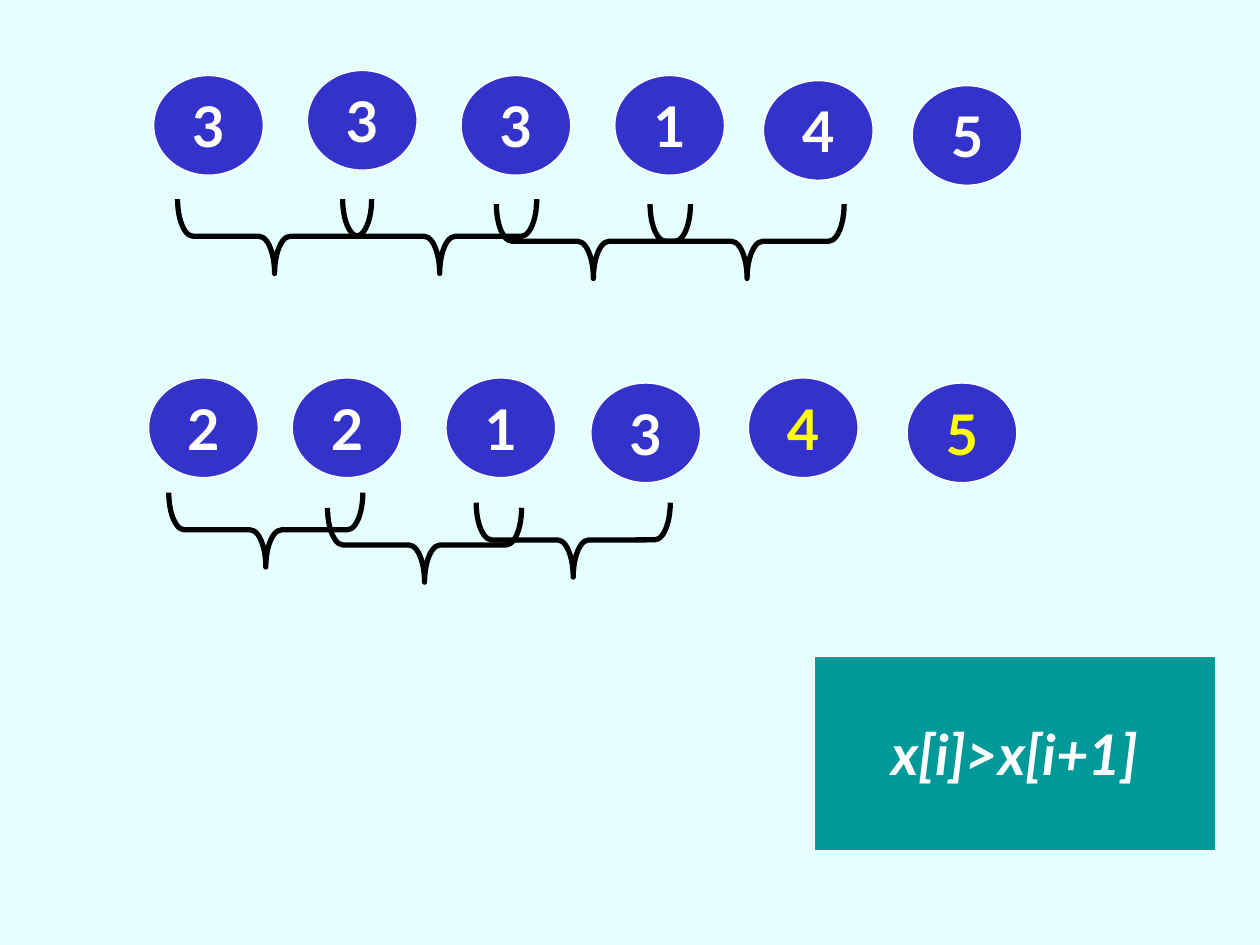
from pptx import Presentation
from pptx.dml.color import RGBColor
from pptx.enum.shapes import MSO_SHAPE
from pptx.enum.text import MSO_ANCHOR, PP_ALIGN
from pptx.util import Inches, Pt

OVAL, RECT, BRACE = MSO_SHAPE.OVAL, MSO_SHAPE.RECTANGLE, MSO_SHAPE.LEFT_BRACE
MIDDLE, CENTER = MSO_ANCHOR.MIDDLE, PP_ALIGN.CENTER

WHITE, YELLOW, BLACK = "FFFFFF", "FFFF00", "000000"
BLUE, TEAL, PALE = "3333CC", "009999", "E5FFFF"
BALL_W, BALL_H = 0.87, 0.79
SPAN, DEPTH = 1.54, 0.59

# Each row: balls as (text, left, top, colour), braces as (left, top)
FIRST = (
    [("3", 1.22, 0.6, WHITE), ("3", 2.44, 0.56, WHITE),
     ("3", 3.66, 0.6, WHITE), ("1", 4.88, 0.6, WHITE),
     ("4", 6.06, 0.64, WHITE), ("5", 7.24, 0.68, WHITE)],
    [(1.41, 1.58), (2.72, 1.58), (3.94, 1.62), (5.16, 1.62)],
)
SECOND = (
    [("2", 1.18, 0, WHITE), ("2", 2.32, 0, WHITE),
     ("1", 3.54, 0, WHITE), ("3", 4.69, 0.04, WHITE),
     ("4", 5.94, 0, YELLOW), ("5", 7.2, 0.04, YELLOW)],
    [(1.34, 0.91), (2.6, 1.03), (3.78, 0.99)],
)


def paint(part, color):
    part.fore_color.rgb = RGBColor.from_string(color)


def write(shape, text, color=WHITE, size=32, italic=False):
    frame = shape.text_frame
    frame.word_wrap = False
    frame.vertical_anchor = MIDDLE
    para = frame.paragraphs[0]
    para.alignment = CENTER
    run = para.add_run()
    run.text = text
    font = run.font
    font.name, font.size = "Lato", Pt(size)
    font.bold, font.italic = True, italic
    font.color.rgb = RGBColor.from_string(color)


def draw(slide, kind, left, top, width, height, fill=None, line=WHITE, weight=0.75):
    shape = slide.shapes.add_shape(
        kind, Inches(left), Inches(top), Inches(width), Inches(height))
    shape.shadow.inherit = False
    if fill:
        shape.fill.solid()
        paint(shape.fill, fill)
    else:
        shape.fill.background()
    shape.line.fill.solid()
    paint(shape.line.fill, line)
    shape.line.width = Pt(weight)
    return shape


def add_brace(slide, left, top):
    # A left brace turned about its centre, so that it points down
    shift = (SPAN - DEPTH) / 2
    brace = draw(slide, BRACE, left + shift, top - shift, DEPTH, SPAN,
                 line=BLACK, weight=3)
    brace.rotation = 270
    brace.adjustments[0] = 0.21


def add_row(slide, top, balls, braces):
    for text, x, y, color in balls:
        ball = draw(slide, OVAL, x, top + y, BALL_W, BALL_H, fill=BLUE)
        write(ball, text, color=color)
    for x, y in braces:
        add_brace(slide, x, top + y)


def add_rule(slide, left, top, width, height):
    box = draw(slide, RECT, left, top, width, height, fill=TEAL)
    write(box, "x[i]>x[i+1]", italic=True)


def main():
    deck = Presentation()
    deck.slide_width, deck.slide_height = Inches(10), Inches(7.5)
    slide = deck.slides.add_slide(deck.slide_layouts[6])
    slide.background.fill.solid()
    paint(slide.background.fill, PALE)

    # Two passes of the sort, then the test that is applied
    add_row(slide, 0, *FIRST)
    add_row(slide, 3, *SECOND)
    add_rule(slide, 6.46, 5.21, 3.19, 1.54)
    deck.save("out.pptx")


if __name__ == "__main__":
    main()
